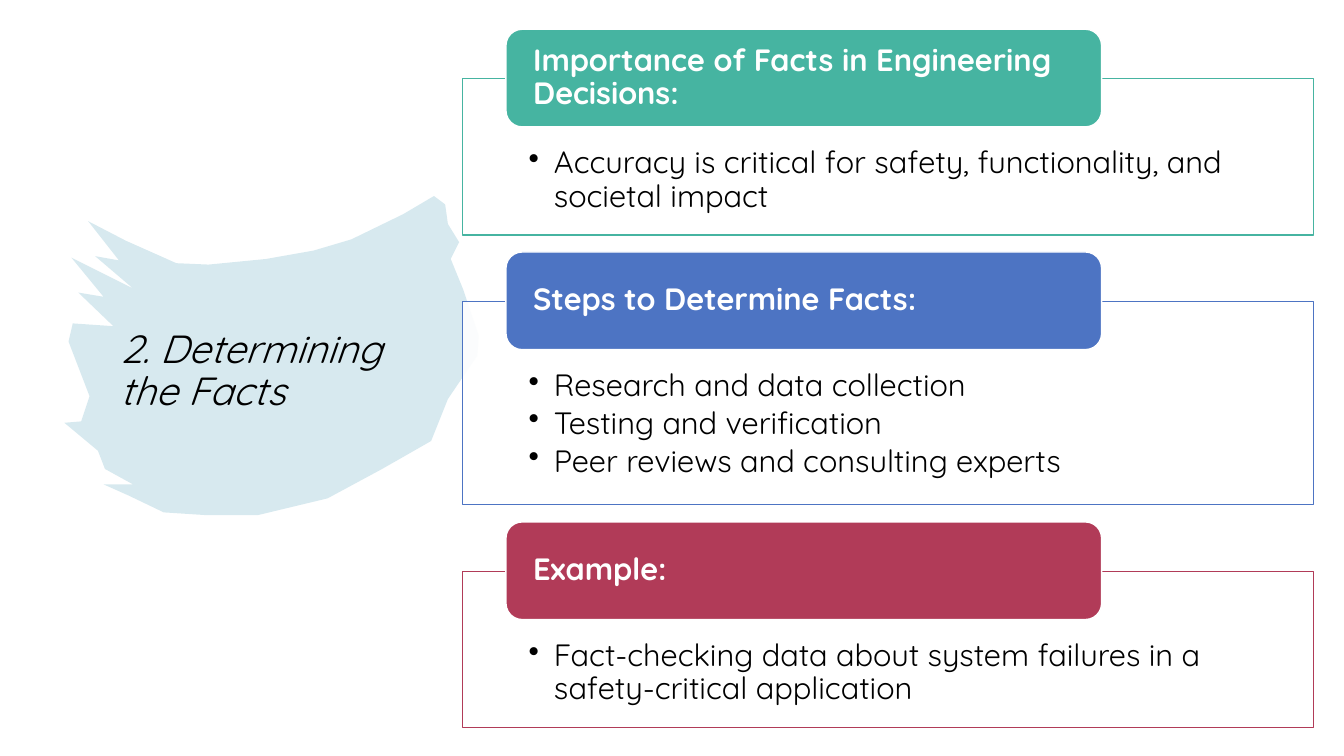
from lxml import etree
from pptx import Presentation
from pptx import util as u
from pptx.dml.color import RGBColor
from pptx.enum import shapes, text
from pptx.oxml.ns import qn

Pt = u.Pt
FONT = "Quicksand"
WHITE = RGBColor(0xFF, 0xFF, 0xFF)
BLACK = RGBColor(0, 0, 0)
BRUSH = RGBColor(0x3B, 0x94, 0xB1)
GREEN = RGBColor(0x46, 0xB4, 0xA1)
BLUE = RGBColor(0x4D, 0x74, 0xC3)
RED = RGBColor(0xB1, 0x3B, 0x58)

PANEL_LEFT, PANEL_WIDTH, PANEL_GAP = 330.5, 607.7, 47.5
PANEL_BASE, LINE_PITCH, WRAPPED_HEIGHT = 64, 27.1, 111.6
HEADER_LEFT, HEADER_WIDTH, HEADER_HEIGHT, HEADER_RISE = 361.4, 425.5, 69.8, 35.3

SECTIONS = [
    ("Importance of Facts in Engineering Decisions:", GREEN,
     ["Accuracy is critical for safety, functionality, and societal impact"]),
    ("Steps to Determine Facts:", BLUE,
     ["Research and data collection", "Testing and verification",
      "Peer reviews and consulting experts"]),
    ("Example:", RED,
     ["Fact-checking data about system failures in a safety-critical application"]),
]

BRUSH_OUTLINE = [
    (310, 140), (318, 146), (320, 160), (328, 173), (322, 185), (331, 207),
    (342, 240), (341, 254), (320, 285), (308, 315), (273, 335), (234, 356),
    (184, 368), (148, 368), (117, 366), (92, 354), (74, 346), (95, 346),
    (75, 335), (70, 322), (46, 302), (58, 301), (64, 283), (49, 244),
    (52, 231), (81, 233), (56, 209), (74, 212), (51, 184), (95, 206),
    (68, 183), (85, 186), (63, 158), (90, 172), (126, 188), (149, 189),
    (190, 185), (224, 179), (251, 171), (288, 153),
]


def set_alpha(shape, percent):
    """Make the solid fill of a shape partly transparent."""
    colour = shape.fill._xPr.find(qn("a:solidFill"))[0]
    etree.SubElement(colour, qn("a:alpha")).set("val", str(percent * 1000))


def add_bullet(paragraph):
    """Give a paragraph a round bullet with a hanging indent."""
    properties = paragraph._p.get_or_add_pPr()
    properties.set("marL", str(Pt(18)))
    properties.set("indent", str(-Pt(18)))
    etree.SubElement(properties, qn("a:buChar")).set("char", "•")


def write_text(shape, lines, size=22, colour=BLACK, bold=False, italic=False,
               bullets=False, after=0, anchor=text.MSO_ANCHOR.MIDDLE,
               side=7.2, above=0, below=0):
    """Fill a shape with one formatted paragraph for each line."""
    frame = shape.text_frame
    frame.word_wrap = True
    frame.vertical_anchor = anchor
    frame.margin_left = frame.margin_right = Pt(side)
    frame.margin_top, frame.margin_bottom = Pt(above), Pt(below)
    for index, line in enumerate(lines):
        paragraph = frame.add_paragraph() if index else frame.paragraphs[0]
        paragraph.alignment = text.PP_ALIGN.LEFT
        paragraph.line_spacing = 0.9
        paragraph.space_after = Pt(after)
        if bullets:
            add_bullet(paragraph)
        run = paragraph.add_run()
        run.text = line
        run.font.name = FONT
        run.font.size = Pt(size)
        run.font.bold = bold
        run.font.italic = italic
        run.font.color.rgb = colour


def add_box(slide, kind, left, top, width, height, fill, line):
    """Add a filled and outlined preset shape."""
    box = slide.shapes.add_shape(kind, Pt(left), Pt(top), Pt(width), Pt(height))
    box.shadow.inherit = False
    box.fill.solid()
    box.fill.fore_color.rgb = fill
    box.line.color.rgb = line
    box.line.width = Pt(1)
    return box


def add_brush_stroke(slide):
    """Draw the pale brush stroke behind the title."""
    builder = slide.shapes.build_freeform(*BRUSH_OUTLINE[0], scale=Pt(1))
    builder.add_line_segments(BRUSH_OUTLINE[1:], close=True)
    stroke = builder.convert_to_shape()
    stroke.shadow.inherit = False
    stroke.fill.solid()
    stroke.fill.fore_color.rgb = BRUSH
    set_alpha(stroke, 20)
    stroke.line.fill.background()


def add_title(slide, words):
    """Add the slide title over the brush stroke."""
    title = slide.shapes.add_textbox(Pt(78.5), Pt(206.6), Pt(236.9), Pt(118))
    write_text(title, [words], size=28, italic=True)


def add_section(slide, top, heading, colour, points):
    """Add a bulleted panel with its heading tab and return the panel's bottom."""
    height = max(WRAPPED_HEIGHT, PANEL_BASE + LINE_PITCH * len(points))
    panel = add_box(slide, shapes.MSO_SHAPE.RECTANGLE, PANEL_LEFT, top,
                    PANEL_WIDTH, height, WHITE, colour)
    set_alpha(panel, 90)
    write_text(panel, points, bullets=True, after=3.3,
               anchor=text.MSO_ANCHOR.TOP, side=47.2, above=49, below=12.3)
    header = add_box(slide, shapes.MSO_SHAPE.ROUNDED_RECTANGLE, HEADER_LEFT,
                     top - HEADER_RISE, HEADER_WIDTH, HEADER_HEIGHT, colour, WHITE)
    write_text(header, [heading], colour=WHITE, bold=True, side=16)
    return top + height


def main():
    """Build and save the slide."""
    deck = Presentation()
    deck.slide_width, deck.slide_height = Pt(960), Pt(540)
    slide = deck.slides.add_slide(deck.slide_layouts[6])
    add_brush_stroke(slide)
    add_title(slide, "2. Determining the Facts")
    top = 56.2
    for heading, colour, points in SECTIONS:
        top = add_section(slide, top, heading, colour, points) + PANEL_GAP
    deck.save("out.pptx")


if __name__ == "__main__":
    main()
